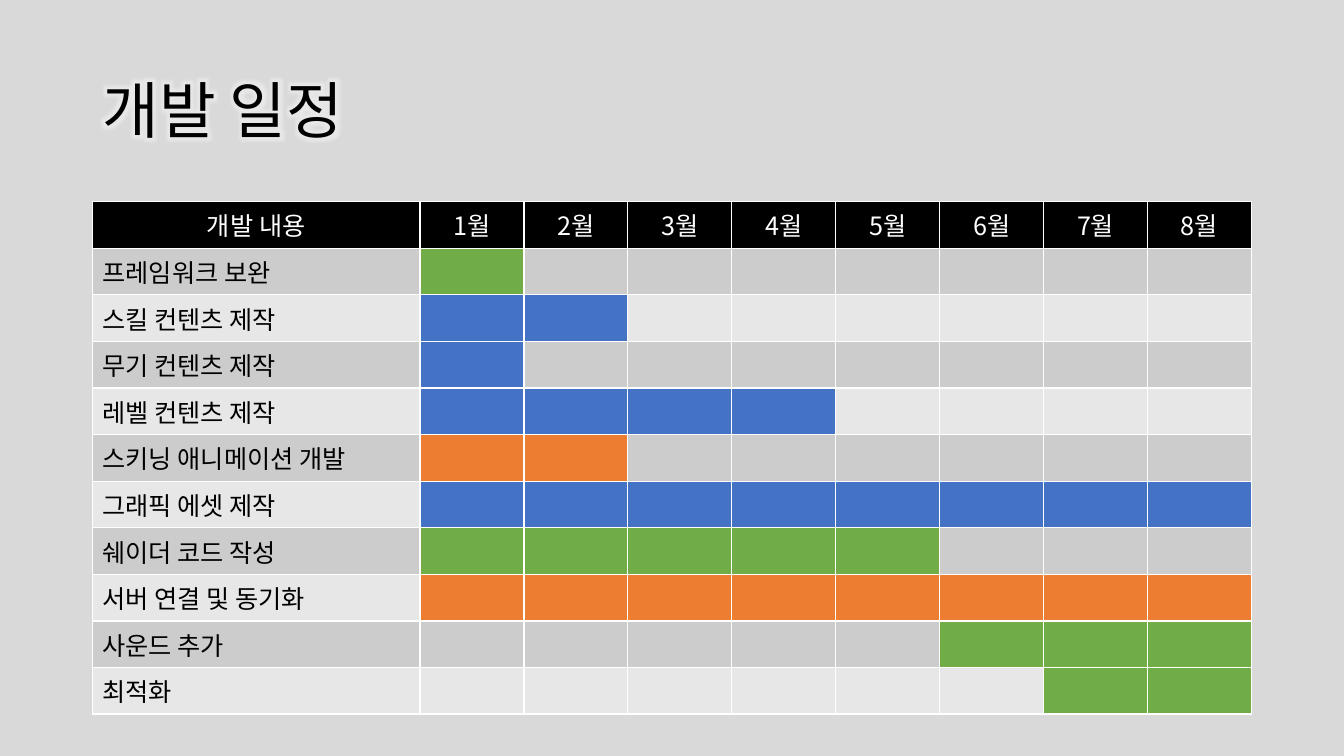
from dataclasses import dataclass

from lxml import etree
from pptx import Presentation
from pptx.dml.color import RGBColor
from pptx.enum import text
from pptx.oxml import ns
from pptx.util import Pt


@dataclass(frozen=True)
class Theme:
    font: str = "Noto Sans CJK KR"
    title_size: int = 44
    table_size: int = 18
    back: str = "D9D9D9"
    black: str = "000000"
    white: str = "FFFFFF"
    bands: tuple = ("CCCCCC", "E7E7E7")
    green: str = "70AD47"
    blue: str = "4472C4"
    orange: str = "ED7D31"


T = Theme()
MONTHS = 8
# Task, bar colour, first month, last month
TASKS = [
    ("프레임워크 보완", T.green, 1, 1),
    ("스킬 컨텐츠 제작", T.blue, 1, 2),
    ("무기 컨텐츠 제작", T.blue, 1, 1),
    ("레벨 컨텐츠 제작", T.blue, 1, 4),
    ("스키닝 애니메이션 개발", T.orange, 1, 2),
    ("그래픽 에셋 제작", T.blue, 1, 8),
    ("쉐이더 코드 작성", T.green, 1, 5),
    ("서버 연결 및 동기화", T.orange, 1, 8),
    ("사운드 추가", T.green, 6, 8),
    ("최적화", T.green, 7, 8),
]


def set_fill(fill, color):
    fill.solid()
    fill.fore_color.rgb = RGBColor.from_string(color)


def write(tf, words, size, color, align):
    p = tf.paragraphs[0]
    p.alignment = align
    r = p.add_run()
    r.text = words
    r.font.size, r.font.bold, r.font.name = Pt(size), False, T.font
    r.font.color.rgb = RGBColor.from_string(color)
    # Korean letters take the East Asian font
    latin = r.font._element.find(ns.qn("a:latin"))
    ea = etree.Element(ns.qn("a:ea"), typeface=T.font)
    latin.addnext(ea)
    return p, r


def add_glow(r, color, radius, alpha):
    """Put a soft glow behind the letters of a run."""
    effects = etree.Element(ns.qn("a:effectLst"))
    glow = etree.SubElement(effects, ns.qn("a:glow"), rad=str(Pt(radius)))
    clr = etree.SubElement(glow, ns.qn("a:srgbClr"), val=color)
    etree.SubElement(clr, ns.qn("a:alpha"), val=str(alpha * 1000))
    r.font._element.find(ns.qn("a:solidFill")).addnext(effects)


def add_title(s, words, left, top, width, height):
    sp = s.shapes.title
    sp.left, sp.top, sp.width, sp.height = map(Pt, (left, top, width, height))
    tf = sp.text_frame
    tf.word_wrap = True
    tf.auto_size = text.MSO_AUTO_SIZE.NONE
    tf.vertical_anchor = text.MSO_ANCHOR.MIDDLE
    p, r = write(tf, words, T.title_size, T.black, text.PP_ALIGN.LEFT)
    p.line_spacing = 0.9
    add_glow(r, T.white, radius=11, alpha=40)


def add_schedule(s, left, top, width, row_height, task_width):
    rows = len(TASKS) + 1
    box = map(Pt, (left, top, width, row_height * rows))
    table = s.shapes.add_table(rows, MONTHS + 1, *box).table
    for row in table.rows:
        row.height = Pt(row_height)
    for i, column in enumerate(table.columns):
        column.width = Pt((width - task_width) / MONTHS if i else task_width)

    # Header row
    heads = ["개발 내용"] + [f"{m}월" for m in range(1, MONTHS + 1)]
    for i, head in enumerate(heads):
        cell = table.cell(0, i)
        set_fill(cell.fill, T.black)
        write(cell.text_frame, head, T.table_size, T.white, text.PP_ALIGN.CENTER)

    # Task rows: banded cells with a coloured bar over the active months
    for n, (task, color, first, last) in enumerate(TASKS):
        band = T.bands[n % 2]
        for month in range(MONTHS + 1):
            active = first <= month <= last
            set_fill(table.cell(n + 1, month).fill, color if active else band)
        tf = table.cell(n + 1, 0).text_frame
        write(tf, task, T.table_size, T.black, text.PP_ALIGN.LEFT)


def main():
    prs = Presentation()
    prs.slide_width, prs.slide_height = Pt(960), Pt(540)
    s = prs.slides.add_slide(prs.slide_layouts[5])
    set_fill(s.background.fill, T.back)
    add_title(s, "개발 일정", 66, 28.75, 828, 104.4)
    add_schedule(s, 66, 144, 828, row_height=29.2, task_width=234)
    prs.save("out.pptx")


if __name__ == "__main__":
    main()
